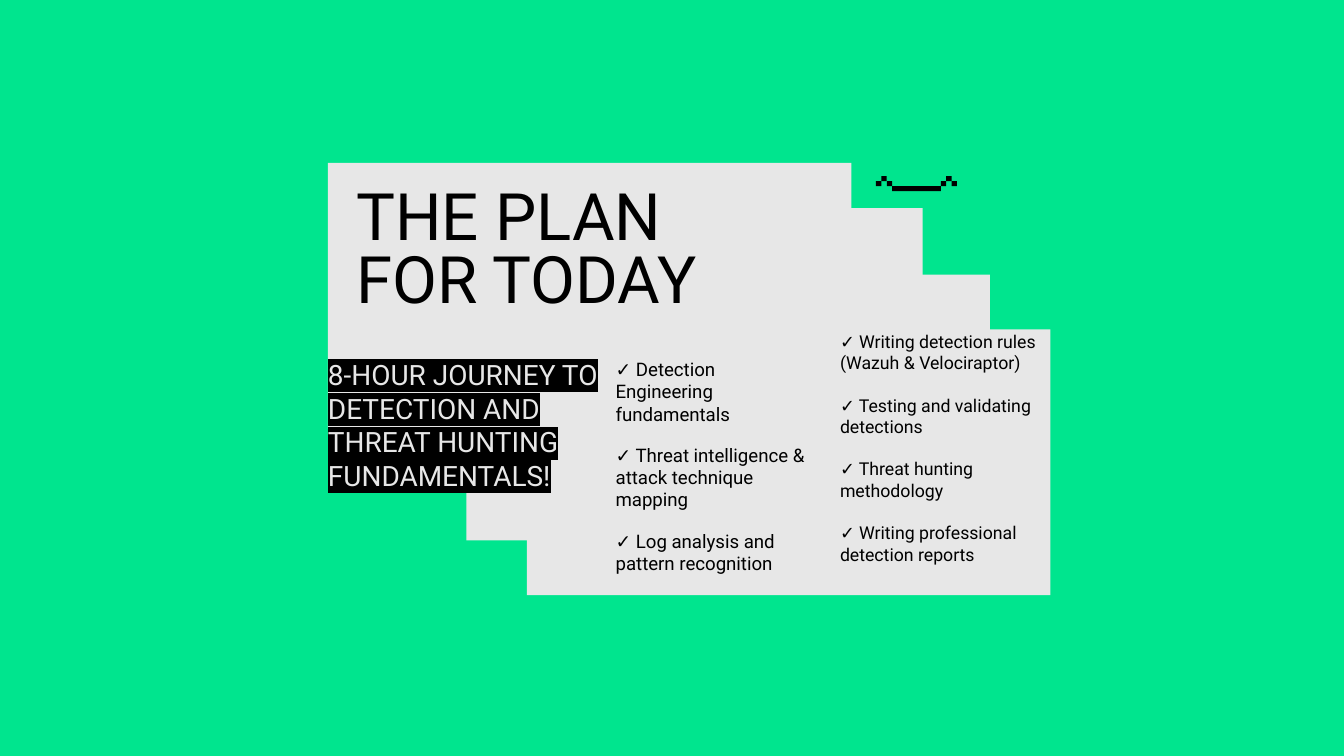
from dataclasses import dataclass

from lxml import etree
from pptx import Presentation
from pptx import util as u
from pptx.dml import color
from pptx.enum import shapes, text
from pptx.oxml import ns


@dataclass(frozen=True)
class Theme:
    green: str = "00E58E"
    grey: str = "E7E7E7"
    black: str = "000000"
    font: str = "Roboto"
    title_size: float = 35
    lead_size: float = 15
    body_size: float = 10
    small_size: float = 9.5


THEME = Theme()


def rgb(value):
    return color.RGBColor.from_string(value)


def add_block(slide, box, fill):
    left, top, width, height = map(u.Pt, box)
    shape = slide.shapes.add_shape(shapes.MSO_SHAPE.RECTANGLE, left, top, width, height)
    shape.shadow.inherit = False
    shape.fill.solid()
    shape.fill.fore_color.rgb = rgb(fill)
    shape.line.fill.background()


def highlight(run, fill):
    """Put a marker colour behind a run that already has a font colour."""
    mark = etree.Element(ns.qn("a:highlight"))
    etree.SubElement(mark, ns.qn("a:srgbClr"), val=fill)
    run.font._element.find(ns.qn("a:solidFill")).addnext(mark)


def fill_text(shape, paragraphs, size, ink, marker=None, gap=0, line_spacing=None):
    """Write top-left text without insets, with a gap between paragraphs."""
    frame = shape.text_frame
    frame.word_wrap = True
    frame.auto_size = text.MSO_AUTO_SIZE.NONE
    frame.vertical_anchor = text.MSO_ANCHOR.TOP
    frame.margin_left = frame.margin_top = frame.margin_right = frame.margin_bottom = 0
    frame.text = "\n".join(paragraphs)
    for index, paragraph in enumerate(frame.paragraphs):
        paragraph.alignment = text.PP_ALIGN.LEFT
        paragraph.space_before = u.Pt(gap if index else 0)
        if line_spacing:
            paragraph.line_spacing = line_spacing
        for run in paragraph.runs:
            run.font.size = u.Pt(size)
            run.font.name = THEME.font
            run.font.color.rgb = rgb(ink)
            if marker:
                highlight(run, marker)


def add_panel(slide, box):
    """Four overlapping blocks that step down to the right."""
    left, top, width, height = box
    for across, down in ((106.5, 89.2), (74.1, 59.9), (38.1, 24.3), (0, 0)):
        add_block(slide, (left + across, top + down, width, height), THEME.grey)


def place_title(slide, box, lines):
    title = slide.shapes.title
    title.left, title.top, title.width, title.height = map(u.Pt, box)
    slide.shapes._spTree.append(title._element)  # bring in front of the panel
    fill_text(title, lines, THEME.title_size, THEME.black, line_spacing=0.8)


def add_pixel_ornament(slide, box):
    """A bar with a mirrored pixel peak at each end, on a grid of three rows."""
    left, top, width, height = box
    cell_width, cell_height = width / 15, height / 3
    cells = [(3, 2, 9)]  # column, row, columns spanned
    for start in (0, 12):
        cells += [(start + step, row, 1) for step, row in enumerate((1, 0, 1))]
    for column, row, span in cells:
        add_block(slide, (left + column * cell_width, top + row * cell_height,
                          span * cell_width, cell_height), THEME.black)


def add_text(slide, box, paragraphs, **style):
    shape = slide.shapes.add_textbox(*map(u.Pt, box))
    fill_text(shape, paragraphs, **style)


def build_plan_slide(presentation):
    slide = presentation.slides.add_slide(presentation.slide_layouts[5])
    slide.background.fill.solid()
    slide.background.fill.fore_color.rgb = rgb(THEME.green)

    add_panel(slide, (175.7, 87.2, 280.5, 142.5))
    place_title(slide, (190.8, 102.2, 335.5, 78.5), ["THE PLAN", "FOR TODAY"])
    add_pixel_ornament(slide, (469.3, 94.3, 43.4, 8.1))

    # Lead statement
    add_text(slide, (175.7, 191.5, 147.6, 164),
             ["8-HOUR JOURNEY TO DETECTION AND THREAT HUNTING FUNDAMENTALS!"],
             size=THEME.lead_size, ink=THEME.grey, marker=THEME.black)

    # Topic columns
    add_text(slide, (329.8, 191.5, 106.5, 121.7),
             ["✓ Detection Engineering fundamentals",
              "✓ Threat intelligence & attack technique mapping",
              "✓ Log analysis and pattern recognition"],
             size=THEME.body_size, ink=THEME.black, marker=THEME.grey, gap=10)
    add_text(slide, (450, 177.1, 106.5, 121.7),
             ["✓ Writing detection rules (Wazuh & Velociraptor)",
              "✓ Testing and validating detections",
              "✓ Threat hunting methodology",
              "✓ Writing professional detection reports"],
             size=THEME.small_size, ink=THEME.black, marker=THEME.grey, gap=11.4)


def main():
    presentation = Presentation()
    presentation.slide_width, presentation.slide_height = u.Pt(720), u.Pt(405)
    build_plan_slide(presentation)
    presentation.save("out.pptx")


if __name__ == "__main__":
    main()
